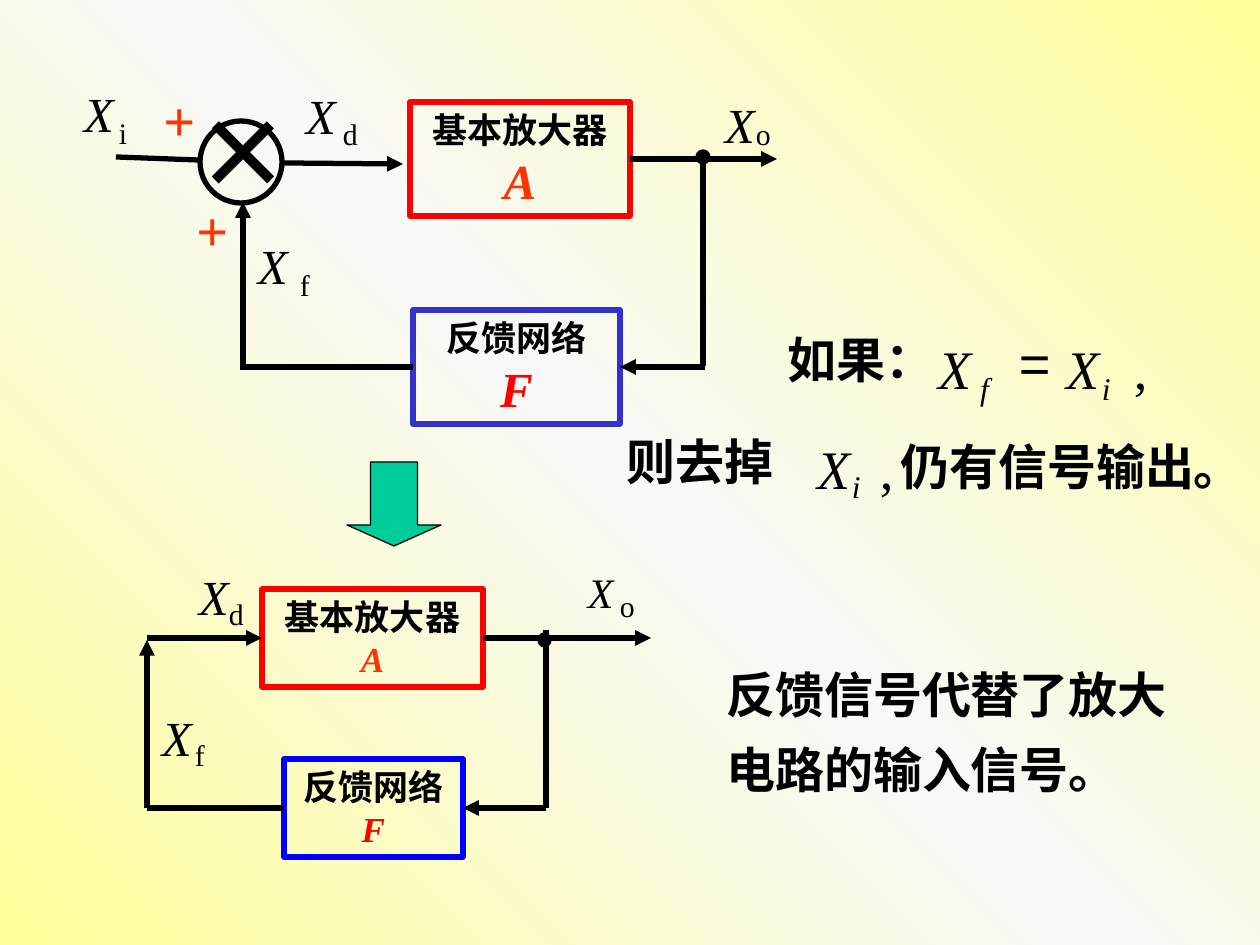
import copy
from pptx import Presentation
from pptx import util as u
from pptx.dml.color import RGBColor
from pptx.enum import shapes, text
from pptx.oxml import parse_xml
from pptx.oxml.ns import nsdecls, qn

PX = 914400 / 126
SERIF, SANS = "Times New Roman", "Arial"
BLACK, RED, ORANGE = "000000", "FF0000", "FF3300"
BACKGROUND = [("FFFF99", 0), ("F8F8F8", 0.5), ("FFFF99", 1)]
# Character widths in em, used to size the symbol boxes
EM = {"X": 0.61, "i": 0.28, "f": 0.3, "d": 0.5, "o": 0.5, ",": 0.25, "=": 0.58}

# Captions: lines, x, y, w, h, size, font, colour, bold, line spacing
CONDITION = [
    (["如果："], 775, 323, 208, 72, 28, SERIF, BLACK, True, 1),
    (["则去掉"], 614, 425, 411, 72, 28, SERIF, BLACK, True, 1),
    (["仍有信号输出。"], 888, 430, 382, 72, 28, SERIF, BLACK, True, 1),
]
CONCLUSION = [(["反馈信号代替了放大", "电路的输入信号。"],
               714, 672, 486, 132, 28, SERIF, BLACK, True, 0.75)]
# Symbols: character, x, y, size, italic
FORMULA = [
    ("X", 939, 335, 31, True), ("f", 980, 369, 18, True),
    ("=", 1019, 329, 31, False),
    ("X", 1067, 335, 31, True), ("i", 1102, 369, 18, True),
    (",", 1134, 335, 31, False),
    ("X", 818, 435, 31, True), ("i", 852, 467, 18, True),
    (",", 880, 435, 31, False),
]

# Lines: start, end, arrow at end; a point may be (box name, side)
LOOP = {
    "boxes": {
        "A": ("基本放大器", 410, 102, 220, 114, RED, ORANGE, 28),
        "F": ("反馈网络", 413, 310, 207, 114, "3333CC", RED, 28),
    },
    "circles": [(200, 121, 82, 82, False), (698, 152, 10, 10, True)],
    "lines": [
        ((116, 157), (198, 160), False),
        ((284, 163), (403, 164), True),
        (("A", 3), (777, 159), True),
        ((703, 159), (703, 366), False),
        ((705, 367), ("F", 3), True),
        (("F", 1), (240, 367), False),
        ((243, 367), (243, 202), True),
    ],
    "captions": [
        (["+"], 151, 79, 129, 81, 32, SERIF, ORANGE, True, 1),
        (["+"], 184, 189, 115, 81, 32, SERIF, ORANGE, True, 1),
        (["×"], 190, 53, 87, 181, 80, SANS, BLACK, False, 1),
    ],
    "symbols": [
        ("X", 84, 84, 28, True), ("i", 119, 115, 17, False),
        ("X", 306, 86, 28, True), ("d", 343, 116, 17, False),
        ("X", 725, 95, 28, True), ("o", 756, 116, 17, False),
        ("X", 258, 236, 28, True), ("f", 300, 267, 17, False),
    ],
}
SELF_DRIVEN_LOOP = {
    "boxes": {
        "A": ("基本放大器", 262, 589, 221, 98, RED, ORANGE, 20),
        "F": ("反馈网络", 284, 759, 179, 98, "0000FF", RED, 20),
    },
    "circles": [(540, 635, 9, 10, True)],
    "lines": [
        (("A", 3), (651, 638), True),
        ((546, 630), (546, 808), False),
        ((546, 808), ("F", 3), True),
        (("F", 1), (147, 808), False),
        ((147, 808), (147, 640), True),
        ((147, 638), ("A", 1), True),
    ],
    "captions": [],
    "symbols": [
        ("X", 199, 567, 28, True), ("d", 229, 596, 17, False),
        ("X", 588, 567, 24, True), ("o", 620, 588, 17, False),
        ("X", 162, 708, 28, True), ("f", 195, 737, 17, False),
    ],
}


def px(*values):
    return [u.Emu(round(v * PX)) for v in values]


def rgb(value):
    return RGBColor.from_string(value)


def style(p, size, font, color, bold=False, italic=False):
    for r in p.runs:
        f = r.font
        f.size, f.name, f.bold, f.italic = u.Pt(size), font, bold, italic
        f.color.rgb = rgb(color)


def add_shape(parent, kind, box, line, fill=None, width=3):
    sp = parent.add_shape(kind, *px(*box))
    sp.shadow.inherit = False
    sp.line.color.rgb, sp.line.width = rgb(line), u.Pt(width)
    if fill:
        sp.fill.solid()
        sp.fill.fore_color.rgb = rgb(fill)
    else:
        sp.fill.background()
    return sp


def add_block(parent, name, label, x, y, w, h, line, color, size):
    sp = add_shape(parent, shapes.MSO_SHAPE.RECTANGLE, (x, y, w, h), line)
    tf = sp.text_frame
    tf.vertical_anchor, tf.word_wrap = text.MSO_ANCHOR.MIDDLE, True
    tf.text = f"{label}\n{name}"
    for p in tf.paragraphs:
        p.alignment = text.PP_ALIGN.CENTER
    style(tf.paragraphs[0], 20, SERIF, BLACK, bold=True)
    style(tf.paragraphs[1], size, SERIF, color, bold=True, italic=True)
    return sp


def add_line(parent, blocks, start, end, arrow):
    joined = [pt[0] in blocks for pt in (start, end)]
    (x1, y1), (x2, y2) = [(0, 0) if j else pt for j, pt in zip(joined, (start, end))]
    c = parent.add_connector(shapes.MSO_CONNECTOR.STRAIGHT, *px(x1, y1, x2, y2))
    if joined[0]:
        c.begin_connect(blocks[start[0]], start[1])
    if joined[1]:
        c.end_connect(blocks[end[0]], end[1])
    c.line.color.rgb, c.line.width = rgb(BLACK), u.Pt(3)
    if arrow:
        c.line._get_or_add_ln().append(
            parse_xml(f'<a:tailEnd {nsdecls("a")} type="triangle"/>'))
    c._element.spPr.append(parse_xml(f'<a:effectLst {nsdecls("a")}/>'))


def add_caption(parent, lines, x, y, w, h, size, font, color, bold, spacing):
    tf = parent.add_textbox(*px(x, y, w, h)).text_frame
    tf.word_wrap = True
    tf.text = "\n".join(lines)
    for p in tf.paragraphs:
        p.space_before, p.line_spacing = u.Pt(size * 0.625), spacing
        style(p, size, font, color, bold)


def add_symbol(parent, char, x, y, size, italic):
    box = px(x, y, EM[char] * size * 1.75, size * 2.1)
    tf = parent.add_textbox(*box).text_frame
    tf.margin_left = tf.margin_right = tf.margin_top = tf.margin_bottom = 0
    tf.word_wrap = False
    tf.text = char
    style(tf.paragraphs[0], size, SANS if char == "=" else SERIF, BLACK, italic=italic)


def add_texts(parent, captions, symbols):
    for caption in captions:
        add_caption(parent, *caption)
    for symbol in symbols:
        add_symbol(parent, *symbol)


def add_diagram(s, d):
    parent = s.shapes.add_group_shape().shapes
    blocks = {name: add_block(parent, name, *b) for name, b in d["boxes"].items()}
    for line in d["lines"]:
        add_line(parent, blocks, *line)
    for *box, solid in d["circles"]:
        add_shape(parent, shapes.MSO_SHAPE.OVAL, box, BLACK, BLACK if solid else None)
    add_texts(parent, d["captions"], d["symbols"])


def set_background(s):
    fill = s.background.fill
    fill.gradient()
    fill.gradient_angle = 225
    stops = fill._fill._gradFill.find(qn("a:gsLst"))
    stops.append(copy.deepcopy(stops[-1]))
    for stop, (color, position) in zip(fill.gradient_stops, BACKGROUND):
        stop.color.rgb, stop.position = rgb(color), position


def main():
    prs = Presentation()
    prs.slide_width, prs.slide_height = px(1260, 945)
    s = prs.slides.add_slide(prs.slide_layouts[6])
    set_background(s)
    # Condition and conclusion
    add_texts(s.shapes, CONDITION + CONCLUSION, FORMULA)
    # Arrow between the two diagrams
    add_shape(s.shapes, shapes.MSO_SHAPE.DOWN_ARROW, (347, 462, 94, 84),
              BLACK, "00CC99", 0.75).adjustments[1] = 0.25
    # Feedback loop with and without its input
    for diagram in (LOOP, SELF_DRIVEN_LOOP):
        add_diagram(s, diagram)
    prs.save("out.pptx")


if __name__ == "__main__":
    main()
